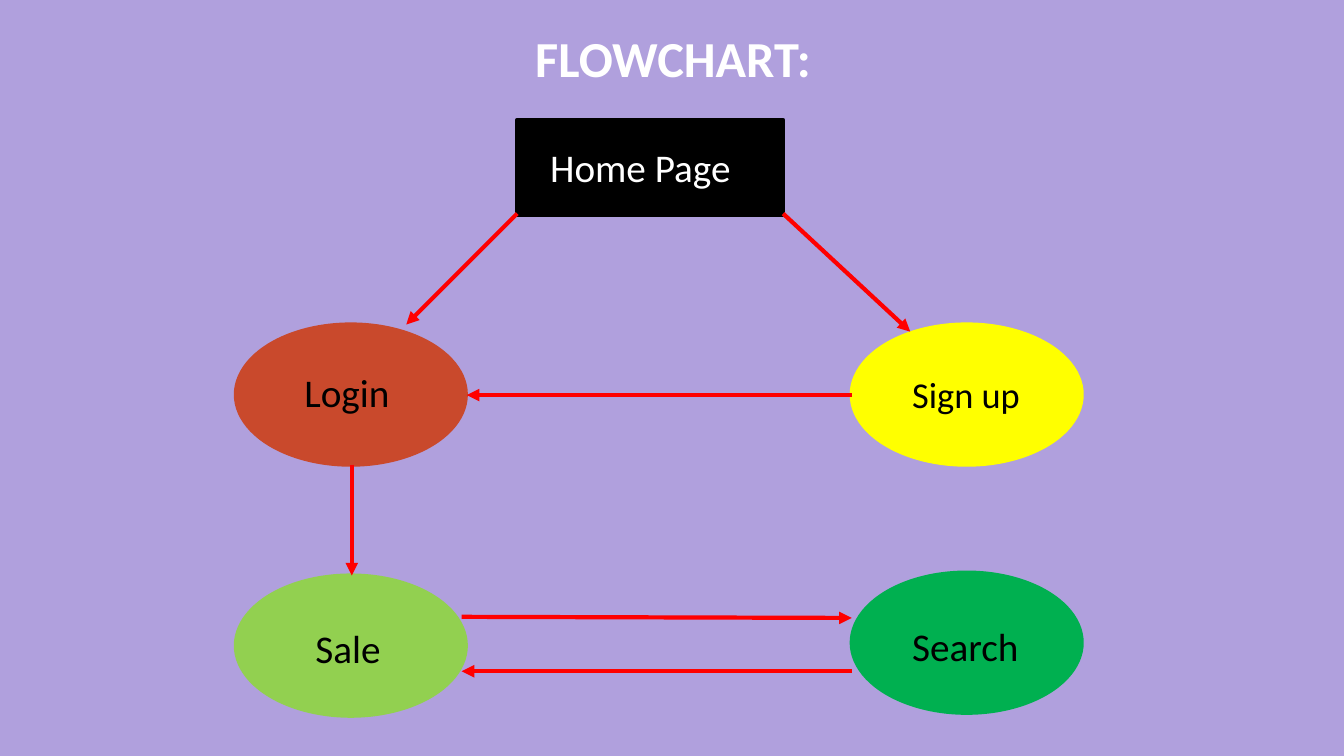
import pptx
import pptx.util
import pptx.dml.color
import pptx.enum.shapes
import pptx.enum.text
from lxml import etree
from pptx.oxml.ns import qn

Pt = pptx.util.Pt
SHAPE = pptx.enum.shapes.MSO_SHAPE

COLORS = {
    "background": "B0A0DD",
    "white": "FFFFFF",
    "black": "000000",
    "login": "C9492C",
    "sign_up": "FFFF00",
    "sale": "92D050",
    "search": "00B050",
    "arrow": "FF0000",
}
FONT = "Calibri"
LINE_WIDTH = 3
LEFT_COLUMN, RIGHT_COLUMN = 168.5, 608.4
ELLIPSE = (164.2, 100.1)

# box, shape, fill, label, text colour, text size, label box within the shape
NODES = [
    ((369.4, 85.7, 190.1, 67.7), SHAPE.RECTANGLE, "black",
     "Home Page", "white", 28, (16.5, 12.9, 167.8, 41)),
    ((LEFT_COLUMN, 231.8, *ELLIPSE), SHAPE.OVAL, "login",
     "Login", "black", 28, (41.8, 27.4, 92.9, 41)),
    ((RIGHT_COLUMN, 231.8, *ELLIPSE), SHAPE.OVAL, "sign_up",
     "Sign up", "black", 26, (36, 30.3, 92.9, 38.9)),
    ((LEFT_COLUMN, 411.1, *ELLIPSE), SHAPE.OVAL, "sale",
     "Sale", "black", 28, (49.7, 31, 92.9, 41)),
    ((RIGHT_COLUMN, 409, *ELLIPSE), SHAPE.OVAL, "search",
     "Search", "black", 28, (36, 31.7, 92.2, 41)),
]

ARROWS = [
    ((369.4, 152.6), (290.2, 231.8)),  # Home Page to Login
    ((559.4, 152.6), (650.2, 236.9)),  # Home Page to Sign up
    ((608.4, 282.2), (333.4, 282.2)),  # Sign up to Login
    ((251.3, 331.9), (251.3, 411.1)),  # Login to Sale
    ((329.8, 440.6), (608.4, 441.4)),  # Sale to Search
    ((608.4, 479.5), (329.8, 479.5)),  # Search to Sale
]


def rgb(name):
    return pptx.dml.color.RGBColor.from_string(COLORS[name])


def write_text(frame, text, size, color, bold=False):
    frame.word_wrap = True
    frame.vertical_anchor = pptx.enum.text.MSO_ANCHOR.TOP
    paragraph = frame.paragraphs[0]
    paragraph.text = text
    paragraph.alignment = pptx.enum.text.PP_ALIGN.LEFT
    paragraph.font.name = FONT
    paragraph.font.size = Pt(size)
    paragraph.font.bold = bold
    paragraph.font.color.rgb = rgb(color)


def add_heading(slide, box):
    heading = slide.shapes.title
    heading.left, heading.top, heading.width, heading.height = map(Pt, box)
    write_text(heading.text_frame, "FLOWCHART:", 36, "white", bold=True)


def add_node(slide, box, outline, fill, label, text_color, size, label_box):
    """Draw a step, with its label placed relative to the step's box."""
    step = slide.shapes.add_shape(outline, *map(Pt, box))
    step.shadow.inherit = False
    step.fill.solid()
    step.fill.fore_color.rgb = rgb(fill)
    step.line.color.rgb = rgb(fill)
    step.line.width = Pt(LINE_WIDTH)

    left, top, width, height = label_box
    caption = slide.shapes.add_textbox(
        Pt(box[0] + left), Pt(box[1] + top), Pt(width), Pt(height))
    write_text(caption.text_frame, label, size, text_color)


def add_arrow(slide, start, end):
    arrow = slide.shapes.add_connector(
        pptx.enum.shapes.MSO_CONNECTOR.STRAIGHT, *map(Pt, start + end))
    arrow.line.color.rgb = rgb("arrow")
    arrow.line.width = Pt(LINE_WIDTH)
    properties = arrow.element.spPr
    etree.SubElement(properties.find(qn("a:ln")), qn("a:tailEnd"), type="triangle")
    etree.SubElement(properties, qn("a:effectLst"))


def add_flowchart(slide):
    for node in NODES:
        add_node(slide, *node)
    for start, end in ARROWS:
        add_arrow(slide, start, end)


def main():
    deck = pptx.Presentation()
    deck.slide_width, deck.slide_height = Pt(960), Pt(540)
    slide = deck.slides.add_slide(deck.slide_layouts.get_by_name("Title Only"))
    slide.background.fill.solid()
    slide.background.fill.fore_color.rgb = rgb("background")
    add_heading(slide, (375.1, 15.8, 491.8, 51.1))
    add_flowchart(slide)
    deck.save("out.pptx")


if __name__ == "__main__":
    main()
